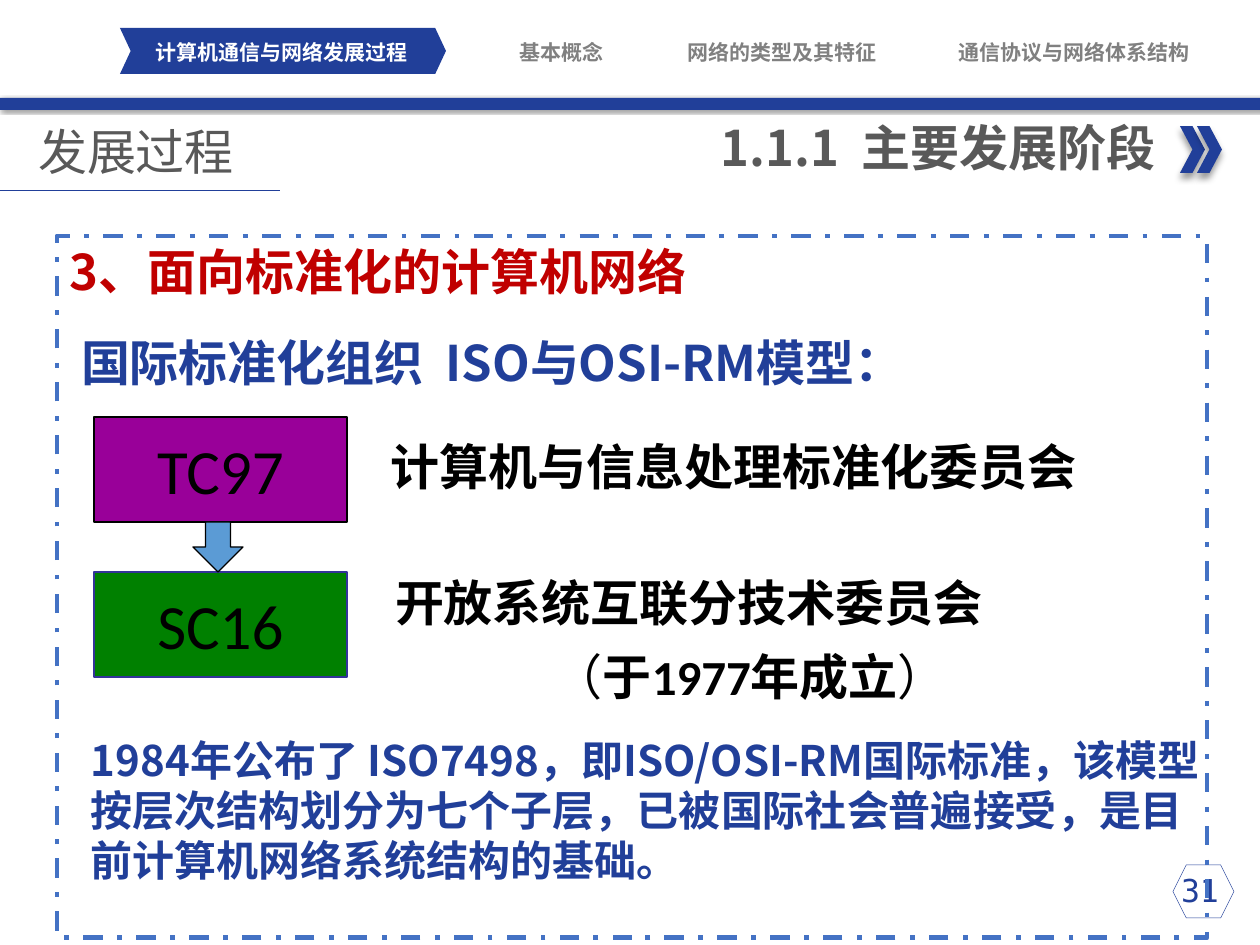
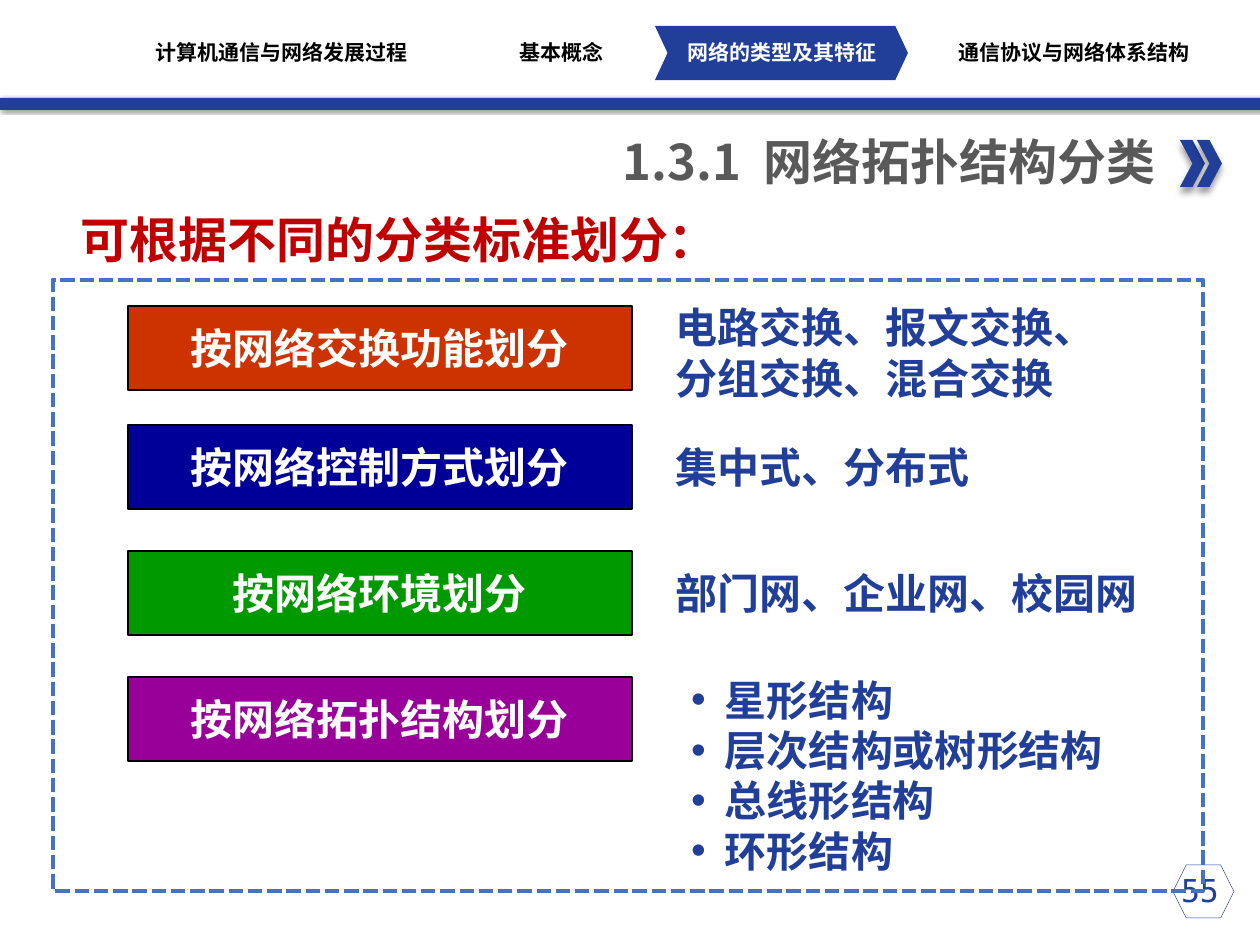
from lxml import etree
from pptx import Presentation
from pptx.dml.color import RGBColor
from pptx.enum.dml import MSO_LINE
from pptx.enum.shapes import MSO_CONNECTOR, MSO_SHAPE
from pptx.enum.text import MSO_ANCHOR, MSO_AUTO_SIZE, PP_ALIGN
from pptx.oxml.ns import qn
from pptx.util import Emu, Pt

RECT, CHEVRON = MSO_SHAPE.RECTANGLE, MSO_SHAPE.CHEVRON
HEXAGON, DOWN_ARROW = MSO_SHAPE.HEXAGON, MSO_SHAPE.DOWN_ARROW
DASH_DOT, SYS_DASH = MSO_LINE.DASH_DOT, MSO_LINE.SQUARE_DOT
LEFT, CENTER, RIGHT = PP_ALIGN.LEFT, PP_ALIGN.CENTER, PP_ALIGN.RIGHT
TOP, MIDDLE = MSO_ANCHOR.TOP, MSO_ANCHOR.MIDDLE
NO_FIT = MSO_AUTO_SIZE.NONE

EMU_PER_PX = 914400 / 126
SLIDE_W, SLIDE_H = 1260, 945
INSET_X, INSET_Y = 13, 6

COLORS = {
    "navy": "213F99", "frame": "4472C4", "red": "C00000", "gray": "595959",
    "faded": "808080", "black": "000000", "white": "FFFFFF", "purple": "990099",
    "green": "008000", "indigo": "333399", "arrow": "5B9BD5", "orange": "CC3300",
    "deep_blue": "000099", "bright_green": "009900",
}
CJK_FONT = "Noto Sans CJK SC"
THEME_BODY_FONT = "+mn-lt"
STYLES = {
    "title": {"name": CJK_FONT, "size": Pt(28), "bold": True},
    "section": {"name": CJK_FONT, "size": Pt(28), "bold": False},
    "body": {"name": CJK_FONT, "size": Pt(24), "bold": True},
    "tab": {"name": "Roboto Condensed", "size": Pt(12), "bold": True},
    "page": {"name": "DejaVu Sans Mono", "size": Pt(18), "bold": False},
    "committee": {"name": THEME_BODY_FONT, "size": Pt(28), "bold": True},
    "bracket": {"name": THEME_BODY_FONT, "size": Pt(28), "bold": False},
    "code": {"name": THEME_BODY_FONT, "size": Pt(36), "bold": False},
}

# label, text box (left, width), highlight (left, top, width, height)
TABS = [
    ("计算机通信与网络发展过程", (139, 285), (120, 28, 326, 46)),
    ("基本概念", (470, 183), None),
    ("网络的类型及其特征", (678, 208), (655, 26, 253, 54)),
    ("通信协议与网络体系结构", (916, 316), None),
]


def px(length):
    return Emu(round(length * EMU_PER_PX))


def rgb(color):
    return RGBColor.from_string(COLORS[color])


def add_run(paragraph, text, style, color):
    run = paragraph.add_run()
    run.text = text
    for attribute, value in STYLES[style].items():
        setattr(run.font, attribute, value)
    run.font.color.rgb = rgb(color)
    east_asian = etree.SubElement(run.font._element, qn("a:ea"))
    east_asian.set("typeface", CJK_FONT)


def write(frame, lines, style, color, align=LEFT, anchor=TOP, inset=(INSET_X, INSET_Y)):
    """Fill a text frame with one paragraph per line."""
    side, edge = px(inset[0]), px(inset[1])
    layout = {"word_wrap": True, "auto_size": NO_FIT, "vertical_anchor": anchor,
              "margin_left": side, "margin_right": side,
              "margin_top": edge, "margin_bottom": edge}
    for attribute, value in layout.items():
        setattr(frame, attribute, value)
    for index, line in enumerate(lines):
        paragraph = frame.add_paragraph() if index else frame.paragraphs[0]
        paragraph.alignment = align
        paragraph.space_before = Pt(0)
        add_run(paragraph, line, style, color)
    return frame


def place(shape, box):
    for attribute, value in zip(("left", "top", "width", "height"), box):
        setattr(shape, attribute, px(value))


def add_text(slide, box, lines, style, color, **layout):
    text_box = slide.shapes.add_textbox(*map(px, box))
    return write(text_box.text_frame, lines, style, color, **layout)


def add_block(slide, kind, box, fill=None, line=None, width=1):
    block = slide.shapes.add_shape(kind, *map(px, box))
    block.shadow.inherit = False
    if fill:
        block.fill.solid()
        block.fill.fore_color.rgb = rgb(fill)
    else:
        block.fill.background()
    if line:
        block.line.color.rgb = rgb(line)
        block.line.width = Pt(width)
    else:
        block.line.fill.background()
    return block


def add_label_block(slide, box, fill, line, label, style, color):
    block = add_block(slide, RECT, box, fill, line)
    write(block.text_frame, [label], style, color, align=CENTER, anchor=MIDDLE)


def add_shadow(shape, blur, distance, degrees):
    effects = shape._element.spPr.find(qn("a:effectLst"))
    shadow = etree.SubElement(effects, qn("a:outerShdw"), blurRad=str(Pt(blur)),
                              dist=str(Pt(distance)), dir=str(degrees * 60000),
                              algn="ctr", rotWithShape="0")
    color = etree.SubElement(shadow, qn("a:srgbClr"), val=COLORS["black"])
    etree.SubElement(color, qn("a:alpha"), val="40000")


def set_indent(paragraph, left, first=0, bullet=None):
    properties = paragraph._p.get_or_add_pPr()
    properties.set("marL", str(px(left)))
    properties.set("indent", str(px(first)))
    if bullet:
        etree.SubElement(properties, qn("a:buChar"), char=bullet)
    else:
        etree.SubElement(properties, qn("a:buNone"))


def add_frame(slide, box, dash):
    frame = add_block(slide, RECT, box, line="frame", width=2.75)
    frame.line.dash_style = dash
    return frame


def add_rule(slide, start, end):
    rule = slide.shapes.add_connector(MSO_CONNECTOR.STRAIGHT, *map(px, start + end))
    rule.line.color.rgb = rgb("navy")
    rule.line.width = Pt(0.5)
    etree.SubElement(rule._element.spPr, qn("a:effectLst"))


def add_tabs(slide, active, idle_color):
    for index, (label, (left, width), highlight) in enumerate(TABS):
        if index == active:
            marker = add_block(slide, CHEVRON, highlight, "navy")
            marker.adjustments[0] = 0.234
        add_text(slide, (left, 40, width, 25), [label], "tab",
                 "white" if index == active else idle_color,
                 align=CENTER, anchor=MIDDLE, inset=(0, 0))


def start_slide(deck, title, title_top, page, active_tab, idle_color):
    """Add a slide with the shared header, title and page number."""
    slide = deck.slides.add_slide(deck.slide_layouts[1])
    heading = slide.shapes.title
    place(heading, (392, title_top, 776, 72))
    write(heading.text_frame, [title], "title", "gray", align=RIGHT)
    add_block(slide, HEXAGON, (1173, 865, 61, 53), line="navy", width=0.25)
    add_shadow(add_block(slide, RECT, (0, 98, SLIDE_W, 12), "navy"), 2, 1, 45)
    for left in (1180, 1197):
        arrow = add_block(slide, CHEVRON, (left, title_top + 15, 25, 47), "navy")
        add_shadow(arrow, 4, 3, 90)
    add_text(slide, (1145, 865, 110, 50), [page], "page", "navy", align=CENTER)
    add_tabs(slide, active_tab, idle_color)
    return slide


def fill_body(slide, box, lines, hanging=0, bullet=None):
    body = slide.placeholders[1]
    place(body, box)
    frame = write(body.text_frame, lines, "body", "navy")
    for paragraph in frame.paragraphs:
        set_indent(paragraph, hanging, -hanging, bullet)


def build_standards_slide(deck):
    slide = start_slide(deck, "1.1.1  主要发展阶段", 111, "31", 0, "faded")
    frame = add_frame(slide, (57, 236, 1150, 702), DASH_DOT)
    text = write(frame.text_frame, ["3、面向标准化的计算机网络"], "title", "red")
    model_line = text.add_paragraph()
    model_line.alignment = LEFT
    model_line.space_before = Pt(18)
    add_run(model_line, "国际标准化组织  ISO与OSI-RM模型：", "title", "navy")
    set_indent(model_line, 11)

    add_rule(slide, (0, 190), (280, 190))
    add_text(slide, (8, 120, 256, 62), ["发展过程"], "section", "gray",
             align=CENTER, anchor=MIDDLE)

    for code, top, fill, line in (("TC97", 417, "purple", "black"),
                                  ("SC16", 572, "green", "indigo")):
        add_label_block(slide, (94, top, 253, 105), fill, line, code, "code", "black")
    add_block(slide, DOWN_ARROW, (193, 522, 50, 50), "arrow", "black", 0.75)

    add_text(slide, (378, 431, 788, 72), ["计算机与信息处理标准化委员会"],
             "committee", "black")
    add_text(slide, (382, 566, 725, 72), ["开放系统互联分技术委员会"],
             "committee", "black")
    founded = add_text(slide, (541, 640, 456, 72), ["（"], "bracket", "black")
    add_run(founded.paragraphs[0], "于1977年成立", "committee", "black")
    add_run(founded.paragraphs[0], "）", "bracket", "black")

    fill_body(slide, (78, 728, 1150, 189), [
        "1984年公布了 ISO7498，即ISO/OSI-RM国际标准，该模型按层次结构划分为"
        "七个子层，已被国际社会普遍接受，是目前计算机网络系统结构的基础。"])


def build_classification_slide(deck):
    slide = start_slide(deck, "1.3.1  网络拓扑结构分类", 125, "55", 2, "black")
    add_frame(slide, (53, 280, 1150, 611), SYS_DASH)
    add_text(slide, (68, 203, 680, 72), ["可根据不同的分类标准划分："], "title", "red")

    # criterion, top, fill, kinds, top and height of the kinds
    criteria = [
        ("按网络交换功能划分", 306, "orange",
         "电路交换、报文交换、分组交换、混合交换", 296, 115),
        ("按网络控制方式划分", 425, "deep_blue", "集中式、分布式", 436, 63),
        ("按网络环境划分", 551, "bright_green", "部门网、企业网、校园网", 562, 63),
        ("按网络拓扑结构划分", 677, "purple", None, None, None),
    ]
    for criterion, top, fill, kinds, kinds_top, kinds_height in criteria:
        add_label_block(slide, (128, top, 504, 84), fill, "black",
                        criterion, "body", "white")
        if kinds:
            width = 466 if kinds_height > 84 else 514
            add_text(slide, (663, kinds_top, width, kinds_height), [kinds],
                     "body", "navy")

    topologies = ["星形结构", "层次结构或树形结构", "总线形结构", "环形结构"]
    fill_body(slide, (678, 668, 473, 217), topologies, hanging=34, bullet="•")


def main():
    deck = Presentation()
    deck.slide_width, deck.slide_height = px(SLIDE_W), px(SLIDE_H)
    build_standards_slide(deck)
    build_classification_slide(deck)
    deck.save("out.pptx")


if __name__ == "__main__":
    main()
